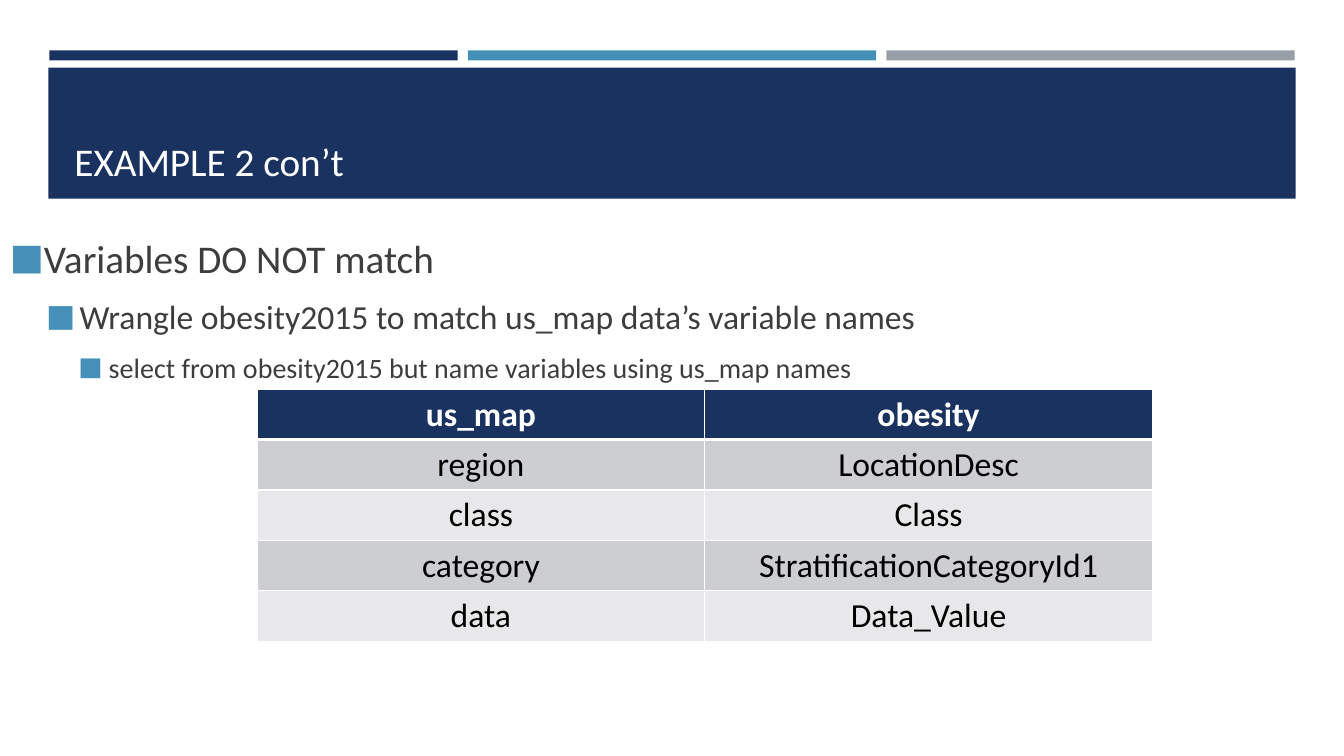
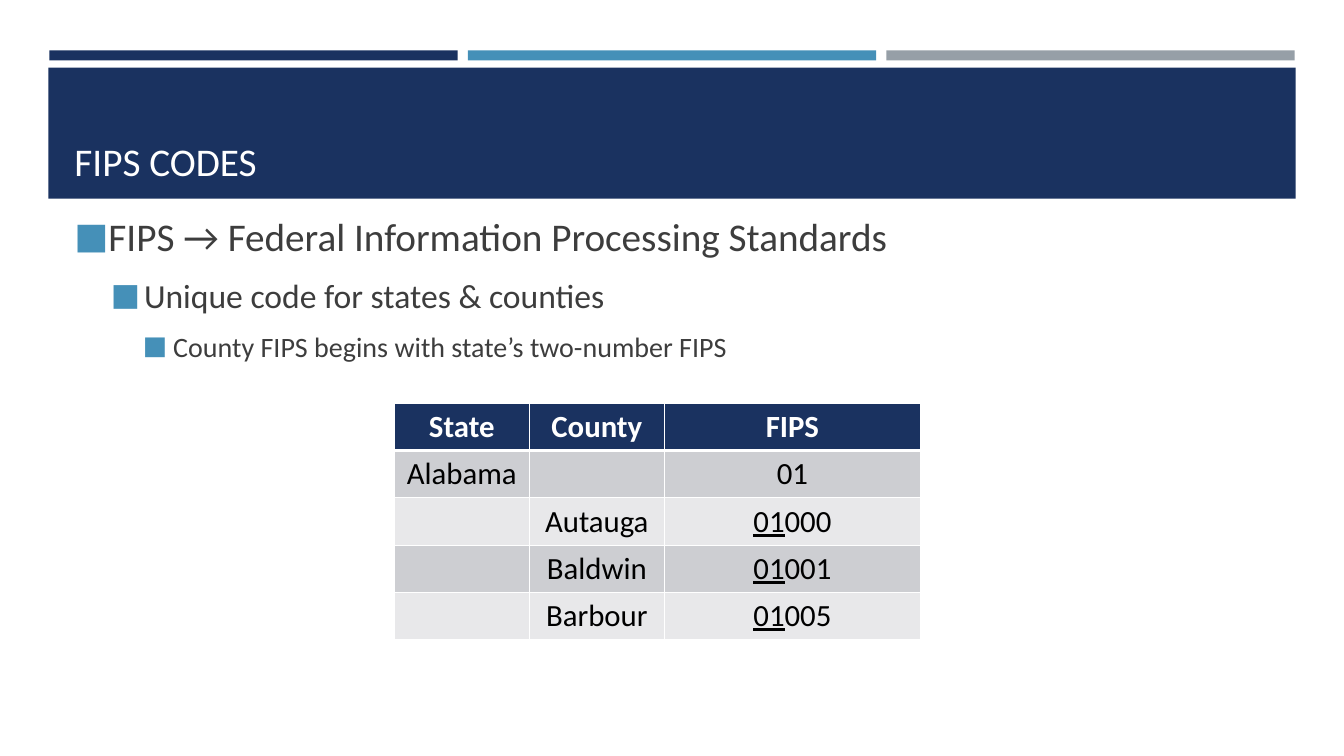
from lxml import etree
from pptx import Presentation
from pptx.dml.color import RGBColor
from pptx.enum.shapes import MSO_SHAPE
from pptx.enum.text import MSO_ANCHOR, PP_ALIGN
from pptx.oxml.ns import qn
from pptx.util import Pt

PX = 9144  # 100 px to the inch
RECTANGLE = MSO_SHAPE.RECTANGLE
TOP, MIDDLE, BOTTOM = MSO_ANCHOR.TOP, MSO_ANCHOR.MIDDLE, MSO_ANCHOR.BOTTOM
CENTER = PP_ALIGN.CENTER

FONT = "Calibri"
NAVY = RGBColor(0x1A, 0x32, 0x60)
BLUE = RGBColor(0x45, 0x90, 0xB8)
GREY = RGBColor(0x96, 0x9F, 0xA7)
CHARCOAL = RGBColor(0x3D, 0x3D, 0x3D)
DARK_ROW = RGBColor(0xCD, 0xCE, 0xD2)
LIGHT_ROW = RGBColor(0xE8, 0xE8, 0xEA)
WHITE = RGBColor(0xFF, 0xFF, 0xFF)
BLACK = RGBColor(0, 0, 0)

BAND_COLORS = (NAVY, BLUE, GREY)
TITLE_SIZE = 28
# Text size in points, text indent and bullet hang in px, by outline level
LEVELS = ((28, 33, 33), (24, 69, 33), (20, 98, 30))

# A cell is text, or a pair: underlined prefix, plain rest
SLIDES = [
    {
        "title": "EXAMPLE 2 con’t",
        "outline_box": (0, 232, 1298, 150),
        "outline": [
            "Variables DO NOT match",
            "Wrangle obesity2015 to match us_map data’s variable names",
            "select from obesity2015 but name variables using us_map names",
        ],
        "table_at": (255, 386),
        "columns": (444, 444),
        "row_height": 50,
        "table_size": 24,
        "rows": [
            ("us_map", "obesity"),
            ("region", "LocationDesc"),
            ("class", "Class"),
            ("category", "StratificationCategoryId1"),
            ("data", "Data_Value"),
        ],
    },
    {
        "title": "FIPS CODES",
        "outline_box": (64, 211, 1206, 150),
        "outline": [
            "FIPS → Federal Information Processing Standards",
            "Unique code for states & counties",
            "County FIPS begins with state’s two-number FIPS",
        ],
        "table_at": (391, 400),
        "columns": (134, 134, 254),
        "row_height": 47,
        "table_size": 22,
        "rows": [
            ("State", "County", "FIPS"),
            ("Alabama", "", "01"),
            ("", "Autauga", ("01", "000")),
            ("", "Baldwin", ("01", "001")),
            ("", "Barbour", ("01", "005")),
        ],
    },
]


def emu(*lengths):
    return [length * PX for length in lengths]


def add_span(para, text, *, size, color, bold=False, underline=False):
    span = para.add_run()
    span.text = text
    font = span.font
    font.name, font.size, font.bold = FONT, Pt(size), bold
    font.color.rgb = color
    if underline:
        font.underline = True


def add_bar(page, left, top, width, height, color):
    bar = page.shapes.add_shape(RECTANGLE, *emu(left, top, width, height))
    bar.shadow.inherit = False
    bar.fill.solid()
    bar.fill.fore_color.rgb = color
    bar.line.fill.background()


def add_frame(page, place, anchor):
    frame = page.shapes.add_textbox(*emu(*place)).text_frame
    frame.word_wrap = True
    frame.vertical_anchor = anchor
    return frame


def add_header(page, title):
    for index, color in enumerate(BAND_COLORS):
        add_bar(page, 49 + index * 415, 50, 405, 10, color)
    add_bar(page, 48, 67, 1237, 130, NAVY)
    frame = add_frame(page, (64, 77, 1206, 111), BOTTOM)
    add_span(frame.paragraphs[0], title, size=TITLE_SIZE, color=WHITE)


def set_bullet(para, indent, hang):
    properties = para._p.get_or_add_pPr()
    properties.set("marL", str(indent * PX))
    properties.set("indent", str(-hang * PX))
    color = etree.SubElement(properties, qn("a:buClr"))
    etree.SubElement(color, qn("a:srgbClr"), val=str(BLUE))
    etree.SubElement(properties, qn("a:buSzPct"), val="92000")
    etree.SubElement(properties, qn("a:buFont"), typeface=FONT)
    etree.SubElement(properties, qn("a:buChar"), char="■")


def add_outline(page, place, lines):
    """Add one bulleted line per level, each a level deeper."""
    frame = add_frame(page, place, TOP)
    frame.margin_top = 0
    for index, (line, (size, indent, hang)) in enumerate(zip(lines, LEVELS)):
        para = frame.add_paragraph() if index else frame.paragraphs[0]
        para.level = index
        para.space_before = Pt(size * 0.2 if index else 0)
        para.space_after = Pt(6)
        set_bullet(para, indent, hang)
        add_span(para, line, size=size, color=CHARCOAL)


def set_borders(cell, **widths):
    properties = cell._tc.get_or_add_tcPr()
    for side, width in widths.items():
        line = etree.SubElement(properties, qn(f"a:ln{side}"), w=str(Pt(width)))
        fill = etree.SubElement(line, qn("a:solidFill"))
        etree.SubElement(fill, qn("a:srgbClr"), val=str(WHITE))


def fill_cell(cell, content, row, size):
    header = row == 0
    set_borders(cell, L=1, R=1, T=3 if row == 1 else 1, B=3 if header else 1)
    cell.fill.solid()
    cell.fill.fore_color.rgb = NAVY if header else DARK_ROW if row % 2 else LIGHT_ROW
    cell.vertical_anchor = MIDDLE
    para = cell.text_frame.paragraphs[0]
    para.alignment = CENTER
    prefix, rest = content if isinstance(content, tuple) else ("", content)
    for text, underline in ((prefix, True), (rest, False)):
        if text:
            add_span(para, text, size=size, color=WHITE if header else BLACK,
                     bold=header, underline=underline)


def add_grid(page, place, columns, row_height, rows, size):
    extent = (sum(columns), row_height * len(rows))
    table = page.shapes.add_table(
        len(rows), len(columns), *emu(*place, *extent)).table
    for column, width in zip(table.columns, columns):
        column.width = width * PX
    for row, contents in enumerate(rows):
        for column, content in enumerate(contents):
            fill_cell(table.cell(row, column), content, row, size)


def main():
    deck = Presentation()
    deck.slide_width, deck.slide_height = emu(1333, 750)
    for slide in SLIDES:
        page = deck.slides.add_slide(deck.slide_layouts[6])
        add_header(page, slide["title"])
        add_outline(page, slide["outline_box"], slide["outline"])
        add_grid(page, slide["table_at"], slide["columns"],
                 slide["row_height"], slide["rows"], slide["table_size"])
    deck.save("out.pptx")


if __name__ == "__main__":
    main()
